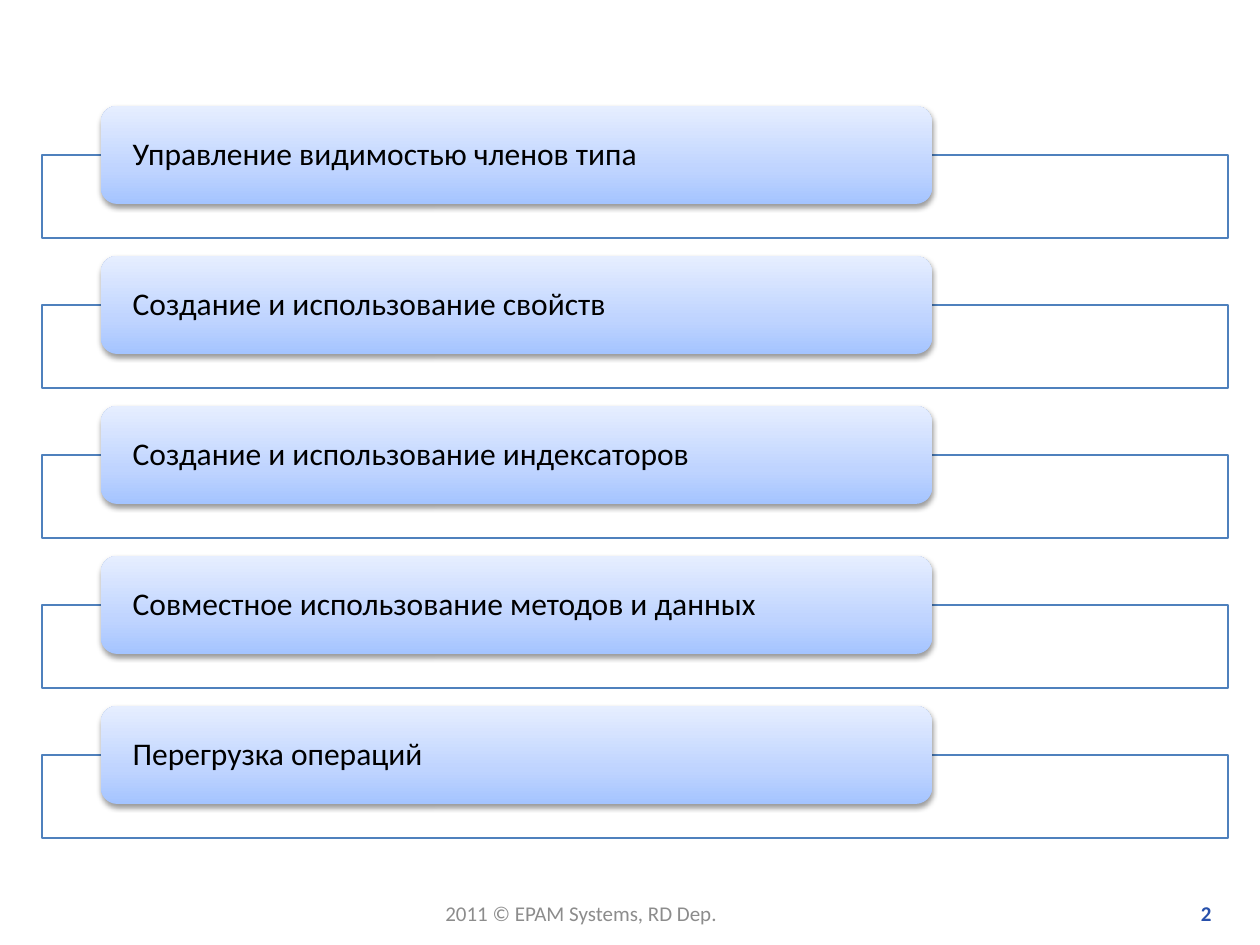
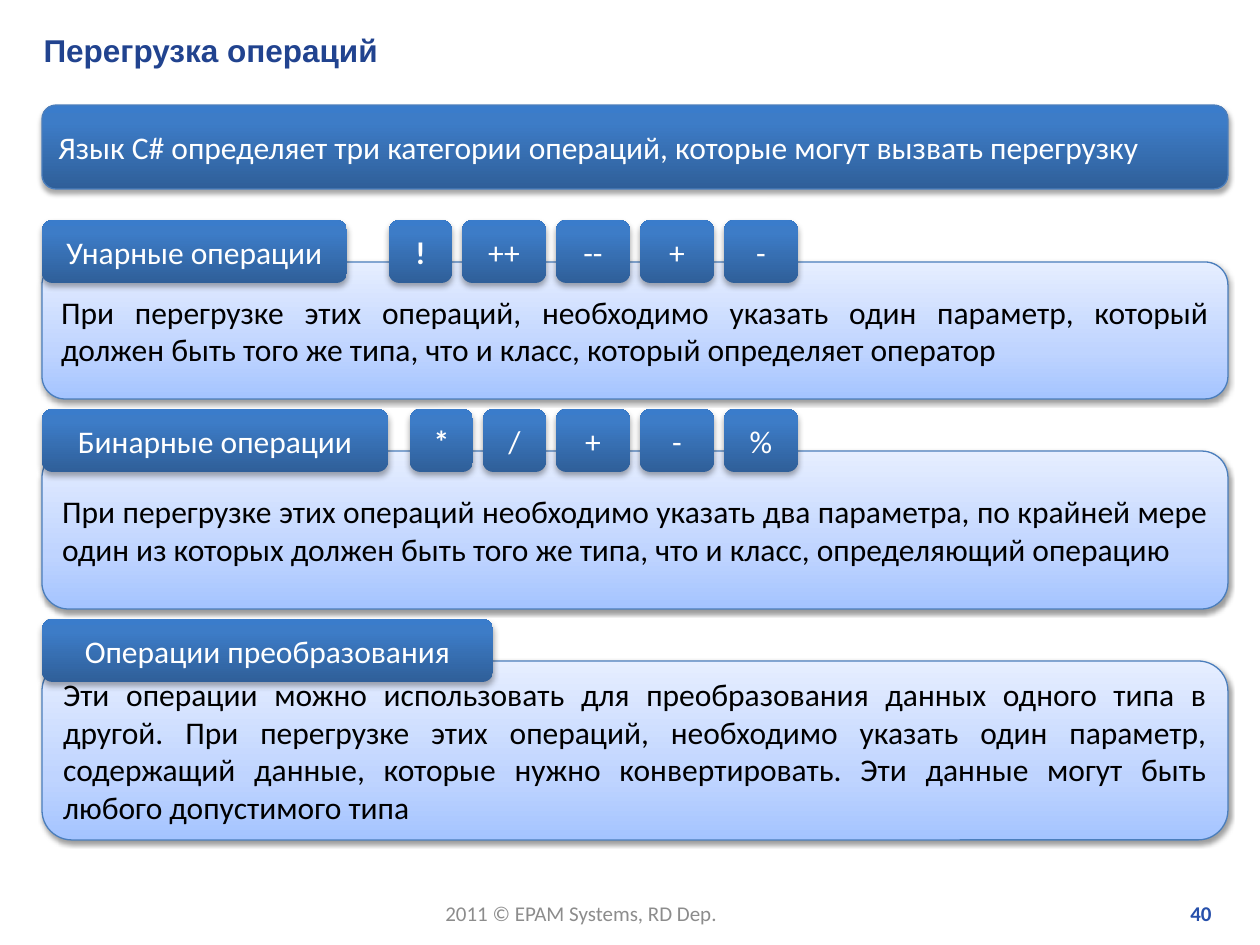
from dataclasses import dataclass
from lxml.etree import SubElement
from pptx import Presentation
from pptx.dml.color import RGBColor
from pptx.enum.shapes import MSO_SHAPE
from pptx.enum.text import MSO_ANCHOR, PP_ALIGN
from pptx.oxml.ns import qn
from pptx.util import Emu, Pt

TOPICS = [
    "Управление видимостью членов типа",
    "Создание и использование свойств",
    "Создание и использование индексаторов",
    "Совместное использование методов и данных",
    "Перегрузка операций",
]
TITLE = "Перегрузка операций"
INTRO = "Язык C# определяет три категории операций, которые могут вызвать перегрузку"
CATEGORIES = [
    dict(name="Унарные операции", tab_w=305, body_h=137,
         operators=[("!", 63), ("++", 84), ("--", 74), ("+", 74), ("-", 74)],
         text="При перегрузке этих операций, необходимо указать один параметр, "
              "который должен быть того же типа, что и класс, который определяет оператор"),
    dict(name="Бинарные операции", tab_w=346, body_h=158,
         operators=[("*", 63), ("/", 63), ("+", 74), ("-", 74), ("%", 74)],
         text="При перегрузке этих операций необходимо указать два параметра, по крайней мере "
              "один из которых должен быть того же типа, что и класс, определяющий операцию"),
    dict(name="Операции преобразования", tab_w=451, body_h=179, operators=[],
         text="Эти операции можно использовать для преобразования данных одного типа в другой. "
              "При перегрузке этих операций, необходимо указать один параметр, содержащий данные, "
              "которые нужно конвертировать. Эти данные могут быть любого допустимого типа"),
]
FOOTER = "2011 © EPAM Systems, RD Dep."
BOLD_OPERATORS = {"!", "*"}


@dataclass(frozen=True)
class Style:
    stops: tuple
    text: str
    shadow: tuple
    line: str = None


@dataclass(frozen=True)
class Theme:
    body_font: str = "Calibri"
    title_font: str = "Arial"
    size: int = 18
    footer_size: int = 12
    title: str = "21438F"
    footer: str = "8C8C8C"
    number: str = "2750AB"
    frame: str = "4F81BD"
    white: str = "FFFFFF"
    line_w: float = 0.75


T = Theme()
PALE = ((0, "A4C4FF"), (35, "BFD4FF"), (100, "E6EEFF"))
DEEP = ((0, "2F5F99"), (80, "3D7CC7"), (100, "3A7CCB"))
TOPIC = Style(PALE, "000000", (38, 3.1, 1.6))
BODY = Style(PALE, "000000", (38, 3.1, 1.6), "4B7EBC")
BANNER = Style(DEEP, T.white, (35, 3.1, 1.8), "4B7EBC")
TAB = Style(DEEP, T.white, (32, 3.5, 2.2))

LEFT, WIDTH = 42, 1186
GAP = 10
TAB_H, TAB_DROP = 63, 42
OPERATORS_RIGHT = 798


def px(n):
    return Emu(round(n * 914400 / 126))


def rgb(color):
    return RGBColor.from_string(color)


def set_alpha(color, percent):
    SubElement(color, qn("a:alpha"), val=str(percent * 1000))


def write(tf, text, color, size=T.size, font=T.body_font, bold=False, align=PP_ALIGN.LEFT):
    p = tf.paragraphs[0]
    p.text = text
    p.alignment = align
    f = p.font
    f.name, f.size, f.bold = font, Pt(size), bold
    f.color.rgb = rgb(color)


def paint(sp, style):
    sp.fill.gradient()
    sp.fill.gradient_angle = 90
    stops = sp._element.spPr.find(qn("a:gradFill")).find(qn("a:gsLst"))
    for old in list(stops):
        stops.remove(old)
    for pos, color in style.stops:
        gs = SubElement(stops, qn("a:gs"), pos=str(pos * 1000))
        SubElement(gs, qn("a:srgbClr"), val=color)
    if style.line:
        sp.line.color.rgb = rgb(style.line)
        sp.line.width = Pt(T.line_w)
    else:
        sp.line.fill.background()
    sp.shadow.inherit = False
    alpha, blur, dist = style.shadow
    shadow = SubElement(sp._element.spPr.find(qn("a:effectLst")), qn("a:outerShdw"),
                        blurRad=str(Pt(blur)), dist=str(Pt(dist)), dir="5400000", rotWithShape="0")
    set_alpha(SubElement(shadow, qn("a:srgbClr"), val="000000"), alpha)


def add_panel(slide, x, y, w, h, text, style, align=PP_ALIGN.JUSTIFY, bold=False):
    sp = slide.shapes.add_shape(MSO_SHAPE.ROUNDED_RECTANGLE, px(x), px(y), px(w), px(h))
    paint(sp, style)
    tf = sp.text_frame
    tf.word_wrap = True
    tf.vertical_anchor = MSO_ANCHOR.MIDDLE
    write(tf, text, style.text, bold=bold, align=align)
    return sp


def add_frame(slide, x, y, w, h):
    sp = slide.shapes.add_shape(MSO_SHAPE.RECTANGLE, px(x), px(y), px(w), px(h))
    sp.fill.solid()
    sp.fill.fore_color.rgb = rgb(T.white)
    set_alpha(sp._element.spPr.find(qn("a:solidFill")).find(qn("a:srgbClr")), 90)
    sp.line.color.rgb = rgb(T.frame)
    sp.line.width = Pt(T.line_w)
    sp.shadow.inherit = False


def add_footer(slide, number):
    tf = slide.shapes.add_textbox(px(433), px(894), px(301), px(38)).text_frame
    tf.word_wrap = False
    write(tf, FOOTER, T.footer, T.footer_size)
    tf = slide.shapes.add_textbox(px(957), px(894), px(267), px(38)).text_frame
    tf.word_wrap = True
    write(tf, str(number), T.number, T.footer_size, bold=True, align=PP_ALIGN.RIGHT)


def build_agenda(prs):
    slide = prs.slides.add_slide(prs.slide_layouts[6])
    add_footer(slide, 2)
    for i, topic in enumerate(TOPICS):
        y = 106 + i * 150
        add_frame(slide, LEFT, y + 49, WIDTH, 83)
        tf = add_panel(slide, 101, y, 831, 98, topic, TOPIC).text_frame
        tf.margin_left = tf.margin_right = px(27)
        tf.margin_top = tf.margin_bottom = 0
        tf.paragraphs[0].line_spacing = 0.9


def build_overloading(prs):
    slide = prs.slides.add_slide(prs.slide_layouts[5])
    add_footer(slide, 40)
    title = slide.shapes.title
    title.left, title.top, title.width, title.height = px(31), px(25), px(1202), px(50)
    title.text_frame.vertical_anchor = MSO_ANCHOR.MIDDLE
    write(title.text_frame, TITLE, T.title, font=T.title_font, bold=True)
    add_panel(slide, LEFT, 105, WIDTH, 84, INTRO, BANNER)
    y = 220
    for cat in CATEGORIES:
        add_panel(slide, LEFT, y + TAB_DROP, WIDTH, cat["body_h"], cat["text"], BODY)
        add_panel(slide, LEFT, y, cat["tab_w"], TAB_H, cat["name"], TAB, PP_ALIGN.CENTER)
        operators = cat["operators"]
        x = OPERATORS_RIGHT - sum(w for _, w in operators) - GAP * (len(operators) - 1)
        for sign, w in operators:
            add_panel(slide, x, y, w, TAB_H, sign, TAB, PP_ALIGN.CENTER, sign in BOLD_OPERATORS)
            x += w + GAP
        y += TAB_DROP + cat["body_h"] + GAP


def main():
    prs = Presentation()
    prs.slide_width, prs.slide_height = px(1260), px(945)
    build_agenda(prs)
    build_overloading(prs)
    prs.save("out.pptx")


if __name__ == "__main__":
    main()
